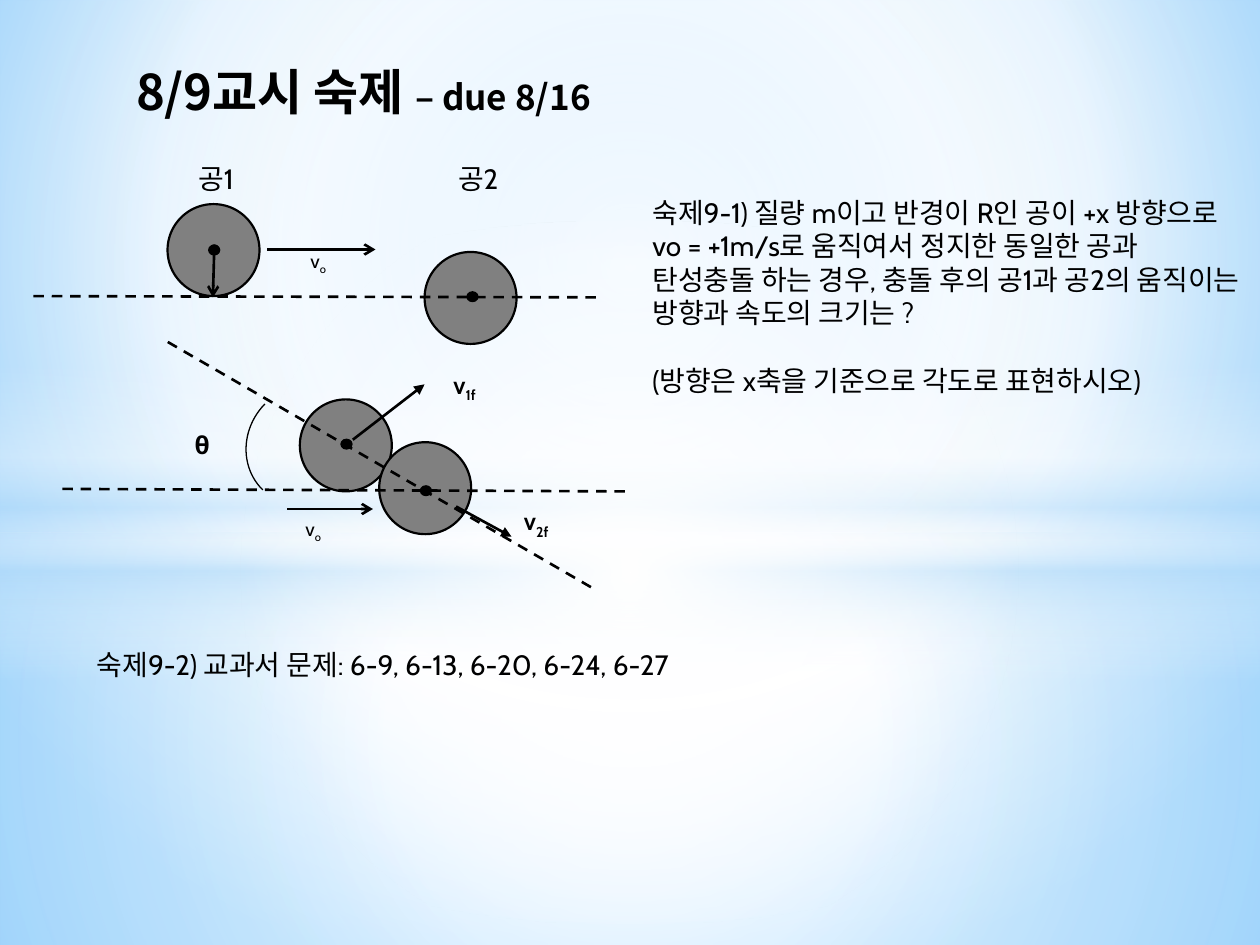
from dataclasses import dataclass
from typing import Optional

from lxml.etree import SubElement
from pptx import Presentation
from pptx.dml.color import RGBColor
from pptx.enum.dml import MSO_LINE
from pptx.enum.shapes import MSO_CONNECTOR, MSO_SHAPE
from pptx.enum.text import MSO_ANCHOR, MSO_AUTO_SIZE, PP_ALIGN
from pptx.oxml import parse_xml
from pptx.oxml.ns import nsdecls, qn
from pptx.util import Inches, Pt

COLORS = {"ink": "000000", "ball": "808080", "white": "FFFFFF", "pale": "B4DCFA",
          "sky": "9ED5FF", "deep": "5BB9FF"}
BODY, HEAD = "Cabin", "Noto Sans CJK KR"
BALL = 0.73
CENTER = (50, 50, 50, 50)


@dataclass
class Veil:
    shape: MSO_SHAPE
    box: tuple
    stops: list
    focus: Optional[tuple] = CENTER


@dataclass
class Line:
    start: tuple
    end: tuple
    dashed: bool = False
    head: str = ""
    tail: str = ""


@dataclass
class Label:
    box: tuple
    paragraphs: list
    size: float = 16
    bold: bool = False
    centered: bool = False


VEILS = [
    Veil(MSO_SHAPE.RECTANGLE, (0, 4.23, 10, 3.27),
         [(0, "white", 91), (37, "white", 76), (100, "pale", 79)]),
    Veil(MSO_SHAPE.RECTANGLE, (0, 0, 10, 4.23),
         [(0, "white", 89), (48, "white", 62), (100, "pale", 79)]),
    Veil(MSO_SHAPE.RECTANGLE, (0, 2.9, 10, 2.5),
         [(0, "white", 0), (29, "white", 30), (45, "pale", 40),
          (55, "white", 26), (65, "pale", 60), (100, "white", 0)], None),
    Veil(MSO_SHAPE.OVAL, (0, 1.75, 10, 5.58), [(0, "white", 100), (54, "white", 0)]),
]
BALLS = [(1.33, 1.62), (3.37, 2), (2.38, 3.17), (3.01, 3.51)]
DOTS = [(1.66, 1.95), (3.71, 2.32), (2.71, 3.49), (3.34, 3.86)]
LINES = [
    Line((2.12, 1.98), (2.98, 1.98), tail="arrow"),
    Line((4.73, 2.36), (0.22, 2.35), dashed=True),
    Line((2.28, 4.04), (2.96, 4.04), tail="arrow"),
    Line((2.8, 3.49), (3.37, 3.05), tail="triangle"),
    Line((4.96, 3.9), (0.45, 3.88), dashed=True),
    Line((4.69, 4.66), (1.29, 2.69), dashed=True),
    Line((3.62, 4.02), (4.06, 4.26), tail="triangle"),
    Line((1.7, 1.98), (1.69, 2.36), head="oval", tail="arrow"),
]
LABELS = [
    Label((1.21, 1.23, 1.01, 0.49), [["공1"]], centered=True),
    Label((3.29, 1.23, 1.01, 0.49), [["공2"]], centered=True),
    Label((2.25, 1.93, 0.55, 0.65), [["v", "o"]], 11, centered=True),
    Label((2.23, 4.06, 0.51, 0.3), [["v", "o"]], 11, centered=True),
    Label((1.33, 3.36, 0.55, 0.35), [["θ"]], 14, True, True),
    Label((3.5, 2.89, 0.67, 0.34), [["v", "1f"]], 14, True),
    Label((4.06, 3.97, 0.67, 0.34), [["v", "2f"]], 14, True),
    Label((5.08, 1.5, 4.88, 1.72), [
        ["숙제9-1) 질량 m이고 반경이 R인 공이 +x 방향으로 vo = +1m/s로 움직여서 정지한 동일한 "
         "공과 탄성충돌 하는 경우, 충돌 후의 공1과 공2의 움직이는 방향과 속도의 크기는 ?"],
        ["(방향은 x축을 기준으로 각도로 표현하시오)"]]),
    Label((0.67, 5.09, 5.59, 0.37), [["숙제9-2) 교과서 문제: 6-9, 6-13, 6-20, 6-24, 6-27"]]),
]


def rgb(name: str) -> RGBColor:
    return RGBColor.from_string(COLORS[name])


def inches(values: tuple) -> list:
    return [Inches(v) for v in values]


def gradient(stops: list, focus: Optional[tuple]):
    gs = "".join(
        f'<a:gs pos="{pos * 1000}"><a:srgbClr val="{COLORS[name]}">'
        f'<a:alpha val="{alpha * 1000}"/></a:srgbClr></a:gs>'
        for pos, name, alpha in stops)
    if focus:
        sides = " ".join(f'{k}="{v * 1000}"' for k, v in zip("ltrb", focus))
        way = f'<a:path path="circle"><a:fillToRect {sides}/></a:path>'
    else:
        way = '<a:lin ang="5400000" scaled="0"/>'
    return parse_xml(f'<a:gradFill {nsdecls("a")} rotWithShape="1">'
                     f'<a:gsLst>{gs}</a:gsLst>{way}</a:gradFill>')


def set_background(s) -> None:
    s.background.fill.solid()
    bg = s.background.fill._xPr
    bg.replace(bg.find(qn("a:solidFill")), gradient(
        [(0, "sky", 100), (60, "white", 100), (100, "deep", 100)], (20, 10, 20, 60)))


def add_veil(s, veil: Veil) -> None:
    sp = s.shapes.add_shape(veil.shape, *inches(veil.box))
    sp.shadow.inherit = False
    sp.line.fill.background()
    sp.fill.solid()
    pr = sp._element.spPr
    pr.replace(pr.find(qn("a:solidFill")), gradient(veil.stops, veil.focus))


def add_outline(s, kind: MSO_SHAPE, box: tuple, fill: str = "", width: float = 1.25):
    sp = s.shapes.add_shape(kind, *inches(box))
    sp.shadow.inherit = False
    if fill:
        sp.fill.solid()
        sp.fill.fore_color.rgb = rgb(fill)
    else:
        sp.fill.background()
    sp.line.color.rgb = rgb("ink")
    sp.line.width = Pt(width)
    return sp


def add_line(s, line: Line) -> None:
    cx = s.shapes.add_connector(MSO_CONNECTOR.STRAIGHT, *inches(line.start + line.end))
    cx.line.color.rgb = rgb("ink")
    cx.line.width = Pt(1.5)
    if line.dashed:
        cx.line.dash_style = MSO_LINE.DASH
    ln = cx.line._get_or_add_ln()
    for tag, kind in (("a:headEnd", line.head), ("a:tailEnd", line.tail)):
        if kind:
            SubElement(ln, qn(tag), type=kind)
    SubElement(cx._element.spPr, qn("a:effectLst"))


def add_run(p, text: str, font: str, size: float, bold: bool):
    r = p.add_run()
    r.text = text
    for name, value in {"name": font, "size": Pt(size), "bold": bold}.items():
        setattr(r.font, name, value)
    r.font.color.rgb = rgb("ink")
    SubElement(r.font._element, qn("a:ea"), typeface=font)
    return r


def add_label(s, label: Label) -> None:
    tf = s.shapes.add_textbox(*inches(label.box)).text_frame
    tf.word_wrap = True
    for i, texts in enumerate(label.paragraphs):
        p = tf.add_paragraph() if i else tf.paragraphs[0]
        p.alignment = PP_ALIGN.CENTER if label.centered else PP_ALIGN.LEFT
        if i:
            p.space_before = Pt(19.4)
        for j, text in enumerate(texts):
            r = add_run(p, text, BODY, label.size, label.bold)
            if j:
                r.font._element.set("baseline", "-25000")


def set_title(s) -> None:
    sp = s.shapes.title
    s.shapes._spTree.append(sp._element)
    sp.left, sp.top, sp.width, sp.height = inches((0.98, 0.44, 6.46, 0.57))
    tf = sp.text_frame
    for name, value in {"word_wrap": True, "vertical_anchor": MSO_ANCHOR.TOP,
                        "auto_size": MSO_AUTO_SIZE.NONE}.items():
        setattr(tf, name, value)
    p = tf.paragraphs[0]
    p.alignment = PP_ALIGN.LEFT
    add_run(p, "8/9교시 숙제 ", HEAD, 28, True)
    add_run(p, "– due 8/16", HEAD, 20, True)


def main() -> None:
    prs = Presentation()
    prs.slide_width, prs.slide_height = inches((10, 7.5))
    s = prs.slides.add_slide(prs.slide_layouts[5])
    set_background(s)
    for veil in VEILS:
        add_veil(s, veil)
    set_title(s)
    for pos in BALLS:
        add_outline(s, MSO_SHAPE.OVAL, pos + (BALL, BALL), "ball")
    for pos in DOTS:
        add_outline(s, MSO_SHAPE.OVAL, pos + (0.08, 0.07), "ink")
    add_outline(s, MSO_SHAPE.ARC, (1.97, 3.03, 0.93, 1), width=0.75).rotation = 224.3
    for line in LINES:
        add_line(s, line)
    for label in LABELS:
        add_label(s, label)
    prs.save("out.pptx")


if __name__ == "__main__":
    main()
